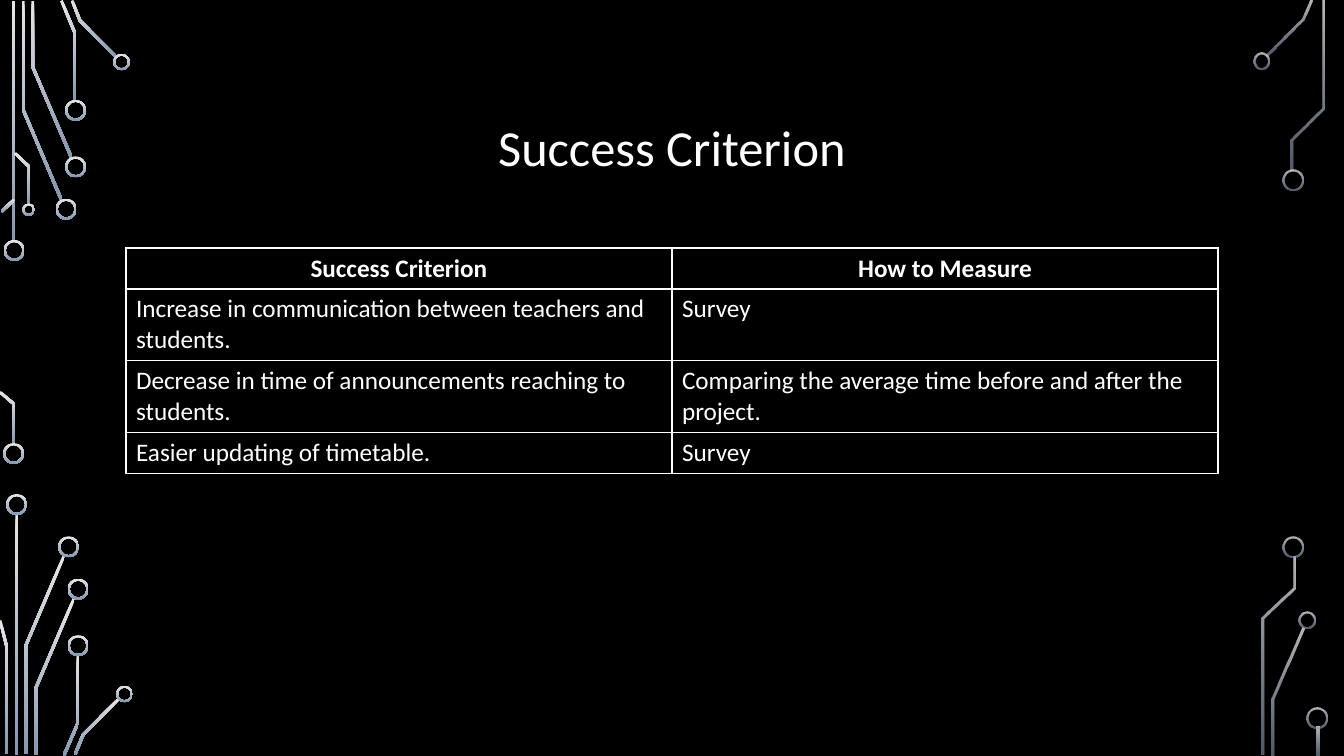
"""Build the success criterion slide: a title and a table framed by circuit traces."""
from math import hypot

from lxml.etree import SubElement
from pptx import Presentation
from pptx.dml.color import RGBColor
from pptx.enum.shapes import MSO_SHAPE
from pptx.enum.text import MSO_ANCHOR, PP_ALIGN
from pptx.oxml.ns import qn
from pptx.util import Pt

TITLE = "Success Criterion"
CRITERIA = [
    ("Success Criterion", "How to Measure"),
    ("Increase in communication between teachers and students.", "Survey"),
    ("Decrease in time of announcements reaching to students.",
     "Comparing the average time before and after the project."),
    ("Easier updating of timetable.", "Survey"),
]
ROW_HEIGHTS = [29.2, 51.4, 51.4, 29.2]
COLUMN_WIDTH = 390
TITLE_BOX = {"left": 90, "top": 49, "width": 780, "height": 116.6}
TABLE_LEFT, TABLE_TOP = 90, 177.2

BLACK, WHITE = "000000", "FFFFFF"
GRADIENT = ("E7E6E6", "8497B0")
TRACE_WIDTH, RING_WIDTH = 2, 1.45
TITLE_FONT = {"name": "Calibri", "size": Pt(36), "bold": False}
HEADER_FONT = {"name": "Calibri", "size": Pt(18), "bold": True}
BODY_FONT = {**HEADER_FONT, "bold": False}

LEFT_CIRCUIT = {
    "opacity": (100, 100),
    "traces": [
        [(9.7, 0.7), (9.7, 172.8)],
        [(43.9, 142.9), (16.6, 78.5), (16.6, 0.7)],
        [(51.1, 112.7), (23.4, 47.9), (23.4, 0.7)],
        [(53.6, 72), (53.6, 23.8), (43.9, 0.4)],
        [(83.2, 41), (57.2, 14.8), (51.5, 0.4)],
        [(1.1, 151.2), (10.1, 142.6)],
        [(10.1, 317.5), (10.1, 288.7), (0, 280.1)],
        [(20.9, 146.2), (20.9, 119.2), (10.8, 109.4)],
        [(11.9, 367.2), (11.9, 539.3)],
        [(18.4, 538.6), (18.4, 461.2), (45.7, 397.1)],
        [(4.7, 538.6), (4.7, 461.5), (0, 443.2)],
        [(25.6, 539.3), (25.6, 491.4), (52.9, 427.3)],
        [(45.7, 539.6), (55.8, 516.2), (55.8, 468)],
        [(53.6, 538.9), (59.4, 524.9), (85, 499)],
    ],
    "rings": {
        15: [(10.1, 178.9), (9.7, 324), (47.2, 149.4), (54, 119.2), (54, 78.8),
             (11.9, 360.4), (49, 390.6), (55.8, 420.8), (55.8, 461.2)],
        12: [(86.8, 44.3), (88.9, 495.7)],
        9: [(20.5, 149.8)],
    },
}
RIGHT_CIRCUIT = {
    "opacity": (80, 60),
    "traces": [
        [(905, 40), (930.6, 14), (936.4, 0.4)],
        [(909, 539.3), (909, 499.3), (931, 448.9)],
        [(923, 121.7), (923, 99.7), (945, 77.4), (945, 0.7)],
        [(901.8, 539.3), (901.8, 441.7), (924.1, 420.1), (924.1, 397.4)],
        [(941.4, 519.1), (941.4, 539.3)],
    ],
    "rings": {
        15: [(923.4, 128.5), (923.8, 390.6), (940.7, 512.6)],
        12: [(901.1, 43.6), (933.5, 443.2)],
    },
}


def color(hex_code):
    return RGBColor.from_string(hex_code)


def apply_format(target, values):
    for attribute, value in values.items():
        setattr(target, attribute, value)


def write(frame, text, font, paragraph_format):
    frame.text = text
    paragraph = frame.paragraphs[0]
    apply_format(paragraph, paragraph_format)
    run_font = paragraph.runs[0].font
    apply_format(run_font, font)
    run_font.color.rgb = color(WHITE)


def paint(part, opacity):
    part.shadow.inherit = False
    part.line.fill.background()
    part.fill.gradient()
    part.fill.gradient_angle = 270
    for stop, shade in zip(part.fill.gradient_stops, GRADIENT):
        stop.color.rgb = color(shade)
    for shade, percent in zip(part._element.spPr.iter(qn("a:srgbClr")), opacity):
        if percent < 100:
            SubElement(shade, qn("a:alpha"), val=str(percent * 1000))


def outline(trace):
    """Return the closed outline of a trace with mitred bends."""
    normals = []
    for (x1, y1), (x2, y2) in zip(trace, trace[1:]):
        length = hypot(x2 - x1, y2 - y1)
        normals.append(((y1 - y2) / length, (x2 - x1) / length))
    near, far = [], []
    for (x, y), (ax, ay), (bx, by) in zip(trace, normals[:1] + normals, normals + normals[-1:]):
        reach = TRACE_WIDTH / 2 / (1 + ax * bx + ay * by)
        dx, dy = (ax + bx) * reach, (ay + by) * reach
        near.append((Pt(x + dx), Pt(y + dy)))
        far.append((Pt(x - dx), Pt(y - dy)))
    return near + far[::-1]


def draw_circuit(shapes, circuit):
    for trace in circuit["traces"]:
        start, *corners = outline(trace)
        builder = shapes.build_freeform(*start)
        builder.add_line_segments(corners, close=True)
        paint(builder.convert_to_shape(), circuit["opacity"])
    for diameter, centers in circuit["rings"].items():
        for x, y in centers:
            ring = shapes.add_shape(MSO_SHAPE.DONUT, Pt(x - diameter / 2), Pt(y - diameter / 2),
                                    Pt(diameter), Pt(diameter))
            ring.adjustments[0] = RING_WIDTH / diameter
            paint(ring, circuit["opacity"])


def add_borders(cell):
    properties = cell._tc.get_or_add_tcPr()
    for position, side in enumerate(("a:lnL", "a:lnR", "a:lnT", "a:lnB")):
        border = properties.makeelement(qn(side), {"w": str(Pt(1))})
        SubElement(SubElement(border, qn("a:solidFill")), qn("a:srgbClr"), val=WHITE)
        properties.insert(position, border)


def draw_table(shapes):
    columns = len(CRITERIA[0])
    table = shapes.add_table(len(CRITERIA), columns, Pt(TABLE_LEFT), Pt(TABLE_TOP),
                             Pt(COLUMN_WIDTH * columns), Pt(sum(ROW_HEIGHTS))).table
    apply_format(table, {"first_row": False, "horz_banding": False})
    for row, height, texts in zip(table.rows, ROW_HEIGHTS, CRITERIA):
        row.height = Pt(height)
        is_header = texts is CRITERIA[0]
        font = HEADER_FONT if is_header else BODY_FONT
        alignment = PP_ALIGN.CENTER if is_header else PP_ALIGN.LEFT
        for cell, text in zip(row.cells, texts):
            write(cell.text_frame, text, font, {"alignment": alignment})
            cell.fill.background()
            add_borders(cell)


def main():
    presentation = Presentation()
    apply_format(presentation, {"slide_width": Pt(960), "slide_height": Pt(540)})
    slide = presentation.slides.add_slide(presentation.slide_layouts[5])
    slide.background.fill.solid()
    slide.background.fill.fore_color.rgb = color(BLACK)
    for circuit in (LEFT_CIRCUIT, RIGHT_CIRCUIT):
        draw_circuit(slide.shapes, circuit)
    title = slide.shapes.title
    apply_format(title, {side: Pt(length) for side, length in TITLE_BOX.items()})
    title.text_frame.vertical_anchor = MSO_ANCHOR.MIDDLE
    write(title.text_frame, TITLE, TITLE_FONT, {"alignment": PP_ALIGN.CENTER, "line_spacing": 0.9})
    draw_table(slide.shapes)
    presentation.save("out.pptx")


if __name__ == "__main__":
    main()
